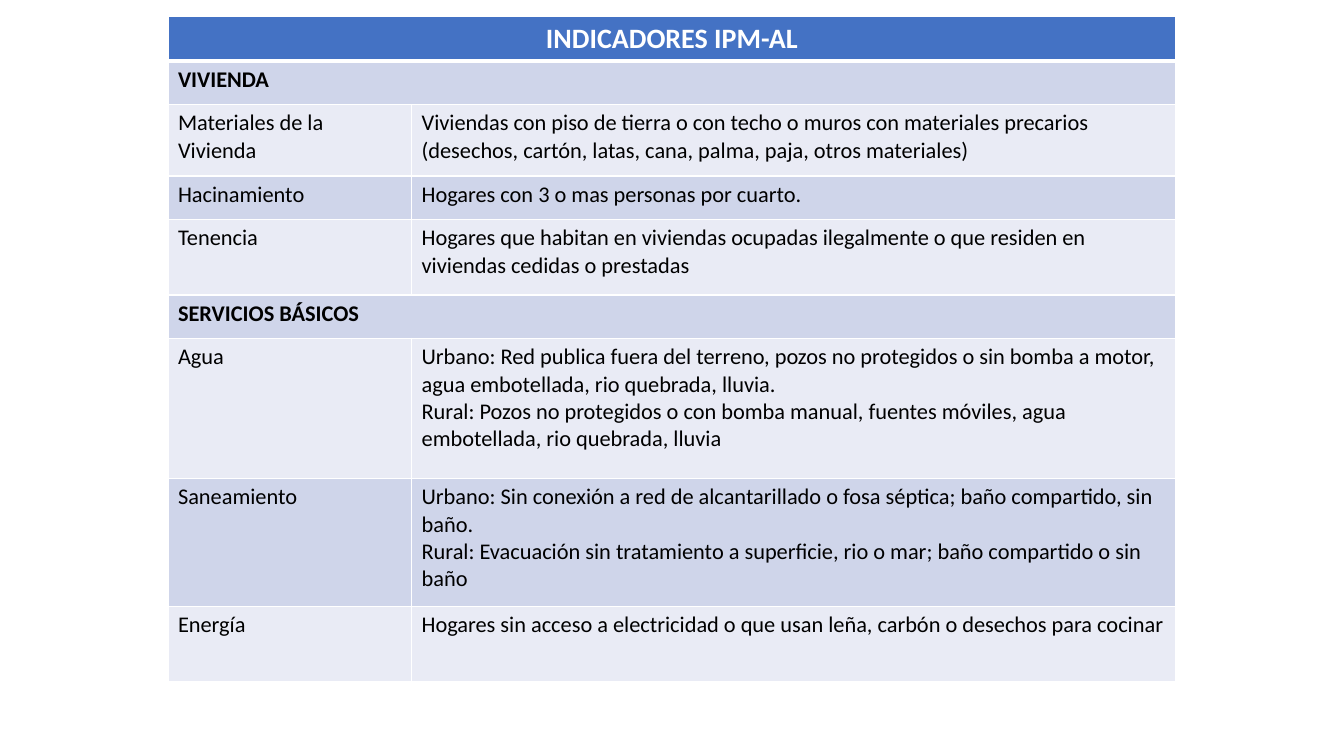
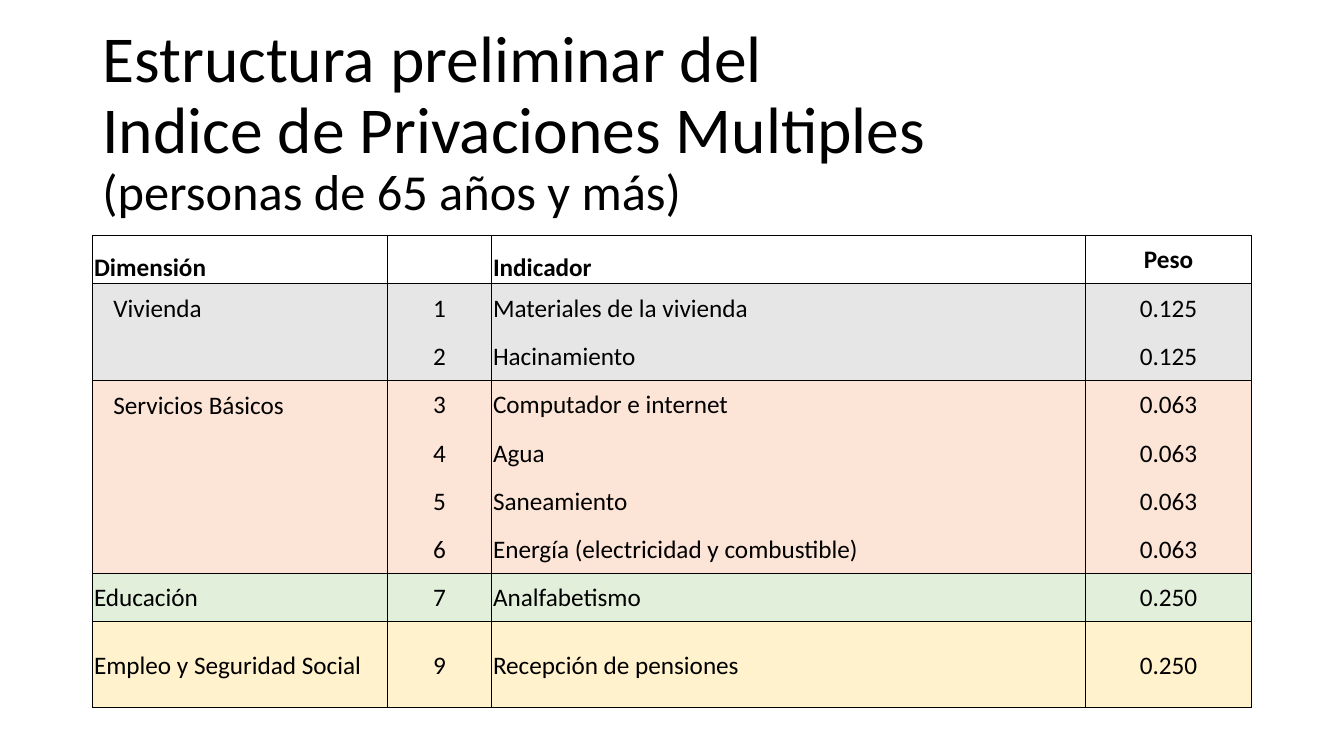
from lxml import etree
from pptx import Presentation
from pptx.dml.color import RGBColor
from pptx.enum import text
from pptx.oxml import ns
from pptx.util import Pt

COLORS = {
    "black": "000000", "white": "FFFFFF", "header": "4472C4",
    "band": "CFD5EA", "light": "E9EBF5", "housing": "E7E6E6",
    "services": "FCE4D6", "education": "E2EFDA", "work": "FFF2CC",
}
TOP, MIDDLE, BOTTOM = (text.MSO_ANCHOR.TOP, text.MSO_ANCHOR.MIDDLE,
                       text.MSO_ANCHOR.BOTTOM)
LEFT, CENTER = text.PP_ALIGN.LEFT, text.PP_ALIGN.CENTER
BLANK, TITLE_ONLY = 6, 5


class Deck:
    font = "Calibri"

    def __init__(self, width, height):
        self.prs = Presentation()
        self.prs.slide_width, self.prs.slide_height = Pt(width), Pt(height)
        self.slide = None

    def add_slide(self, layout):
        self.slide = self.prs.slides.add_slide(self.prs.slide_layouts[layout])

    def style(self, r, size, color="black", bold=False):
        r.font.name, r.font.size, r.font.bold = self.font, Pt(size), bold
        r.font.color.rgb = RGBColor.from_string(COLORS[color])

    def title(self, lines, sizes, box):
        sp = self.slide.shapes.title
        sp.left, sp.top, sp.width, sp.height = map(Pt, box)
        tf = sp.text_frame
        tf.text = "\v".join(lines)
        tf.word_wrap, tf.auto_size = True, text.MSO_AUTO_SIZE.NONE
        tf.vertical_anchor = MIDDLE
        p = tf.paragraphs[0]
        p.alignment, p.line_spacing = LEFT, 0.9
        for r, size in zip(p.runs, sizes):
            self.style(r, size)

    def table(self, left, top, cols, rows):
        frame = self.slide.shapes.add_table(
            len(rows), len(cols), Pt(left), Pt(top), Pt(sum(cols)), Pt(sum(rows)))
        table = frame.table
        table.first_row = table.horz_banding = False
        for col, width in zip(table.columns, cols):
            col.width = Pt(width)
        for row, height in zip(table.rows, rows):
            row.height = Pt(height)
        return table

    def cell(self, cell, words, size, fill=None, color="black", bold=False,
             align=LEFT, anchor=TOP, margins=(7.2, 3.6, 7.2, 3.6)):
        cell.vertical_anchor = anchor
        (cell.margin_left, cell.margin_top,
         cell.margin_right, cell.margin_bottom) = map(Pt, margins)
        if fill:
            cell.fill.solid()
            cell.fill.fore_color.rgb = RGBColor.from_string(COLORS[fill])
        else:
            cell.fill.background()
        cell.text_frame.text = words
        for p in cell.text_frame.paragraphs:
            p.alignment = align
            for r in p.runs:
                self.style(r, size, color, bold)

    def borders(self, cell, color, left, right, top, bottom):
        tc_pr = cell._tc.get_or_add_tcPr()
        sides = zip("LRTB", (left, right, top, bottom))
        for i, (side, width) in enumerate(sides):
            ln = etree.Element(ns.qn("a:ln" + side), w=str(Pt(width)))
            if width:
                fill = etree.SubElement(ln, ns.qn("a:solidFill"))
                etree.SubElement(fill, ns.qn("a:srgbClr"), val=COLORS[color])
            else:
                etree.SubElement(ln, ns.qn("a:noFill"))
            tc_pr.insert(i, ln)


def indicators_slide(deck):
    rows = [
        (31, "INDICADORES IPM-AL"),
        (31, "VIVIENDA"),
        (51, "Materiales de la Vivienda",
         "Viviendas con piso de tierra o con techo o muros con materiales "
         "precarios (desechos, cartón, latas, cana, palma, paja, otros materiales)"),
        (31, "Hacinamiento", "Hogares con 3 o mas personas por cuarto."),
        (54, "Tenencia",
         "Hogares que habitan en viviendas ocupadas ilegalmente o que residen "
         "en viviendas cedidas o prestadas"),
        (31, "SERVICIOS BÁSICOS"),
        (100, "Agua",
         "Urbano: Red publica fuera del terreno, pozos no protegidos o sin bomba "
         "a motor, agua embotellada, rio quebrada, lluvia.\n"
         "Rural: Pozos no protegidos o con bomba manual, fuentes móviles, agua "
         "embotellada, rio quebrada, lluvia"),
        (91.5, "Saneamiento",
         "Urbano: Sin conexión a red de alcantarillado o fosa séptica; baño "
         "compartido, sin baño.\n"
         "Rural: Evacuación sin tratamiento a superficie, rio o mar; baño "
         "compartido o sin baño"),
        (54, "Energía",
         "Hogares sin acceso a electricidad o que usan leña, carbón o desechos "
         "para cocinar"),
    ]
    deck.add_slide(BLANK)
    table = deck.table(120, 12, [174, 546], [row[0] for row in rows])
    for i, (_, *words) in enumerate(rows):
        if len(words) == 1:
            table.cell(i, 0).merge(table.cell(i, 1))
        for j in range(2):
            deck.borders(table.cell(i, j), "white", 1, 1,
                         3 if i == 1 else 1, 3 if i == 0 else 1)
        for j, content in enumerate(words):
            cell = table.cell(i, j)
            if i == 0:
                deck.cell(cell, content, 20, "header", "white", True, CENTER)
            else:
                deck.cell(cell, content, 16, "band" if i % 2 else "light",
                          bold=len(words) == 1)


def weights_slide(deck):
    headings = ["Dimensión", "", "Indicador", "Peso"]
    groups = [
        ("Vivienda", "housing", [
            ("1", "Materiales de la vivienda", "0.125"),
            ("2", "Hacinamiento", "0.125")]),
        ("Servicios Básicos", "services", [
            ("3", "Computador e internet", "0.063"),
            ("4", "Agua", "0.063"),
            ("5", "Saneamiento", "0.063"),
            ("6", "Energía (electricidad y combustible)", "0.063")]),
        ("Educación", "education", [("7", "Analfabetismo", "0.250")]),
        ("Empleo y Seguridad Social", "work", [
            ("9", "Recepción de pensiones", "0.250")]),
    ]
    tight, indented = (1.2, 1.2, 1.2, 0), (15, 7.2, 15, 7.2)
    aligns = [LEFT, CENTER, LEFT, CENTER]
    line = 0.5

    deck.add_slide(TITLE_ONLY)
    deck.title(["Estructura preliminar del ", "Indice de Privaciones Multiples",
                "(personas de 65 años y más)"], [46.8, 46.8, 36],
               (66, 44, 828, 89))
    table = deck.table(66, 168, [211, 74, 424.5, 118.5], [34.5] * 8 + [61.5])
    for j, heading in enumerate(headings):
        cell = table.cell(0, j)
        deck.borders(cell, "black", line, line, line, line)
        deck.cell(cell, heading, 18, bold=True,
                  align=CENTER if heading == "Peso" else LEFT,
                  anchor=MIDDLE if heading == "Peso" else BOTTOM, margins=tight)

    first = 1
    for dimension, fill, items in groups:
        last = first + len(items) - 1
        merged = last > first
        if merged:
            table.cell(first, 0).merge(table.cell(last, 0))
        for i, item in enumerate(items, first):
            for j in range(4):
                deck.borders(table.cell(i, j), "black", line, line,
                             line if i == first else 0, line if i == last else 0)
            for j, words in enumerate(item, 1):
                deck.cell(table.cell(i, j), words, 18, fill, align=aligns[j],
                          anchor=MIDDLE, margins=tight)
        deck.cell(table.cell(first, 0), dimension, 18, fill,
                  anchor=TOP if merged else MIDDLE,
                  margins=indented if merged else tight)
        first = last + 1


deck = Deck(960, 540)
indicators_slide(deck)
weights_slide(deck)
deck.prs.save("out.pptx")
